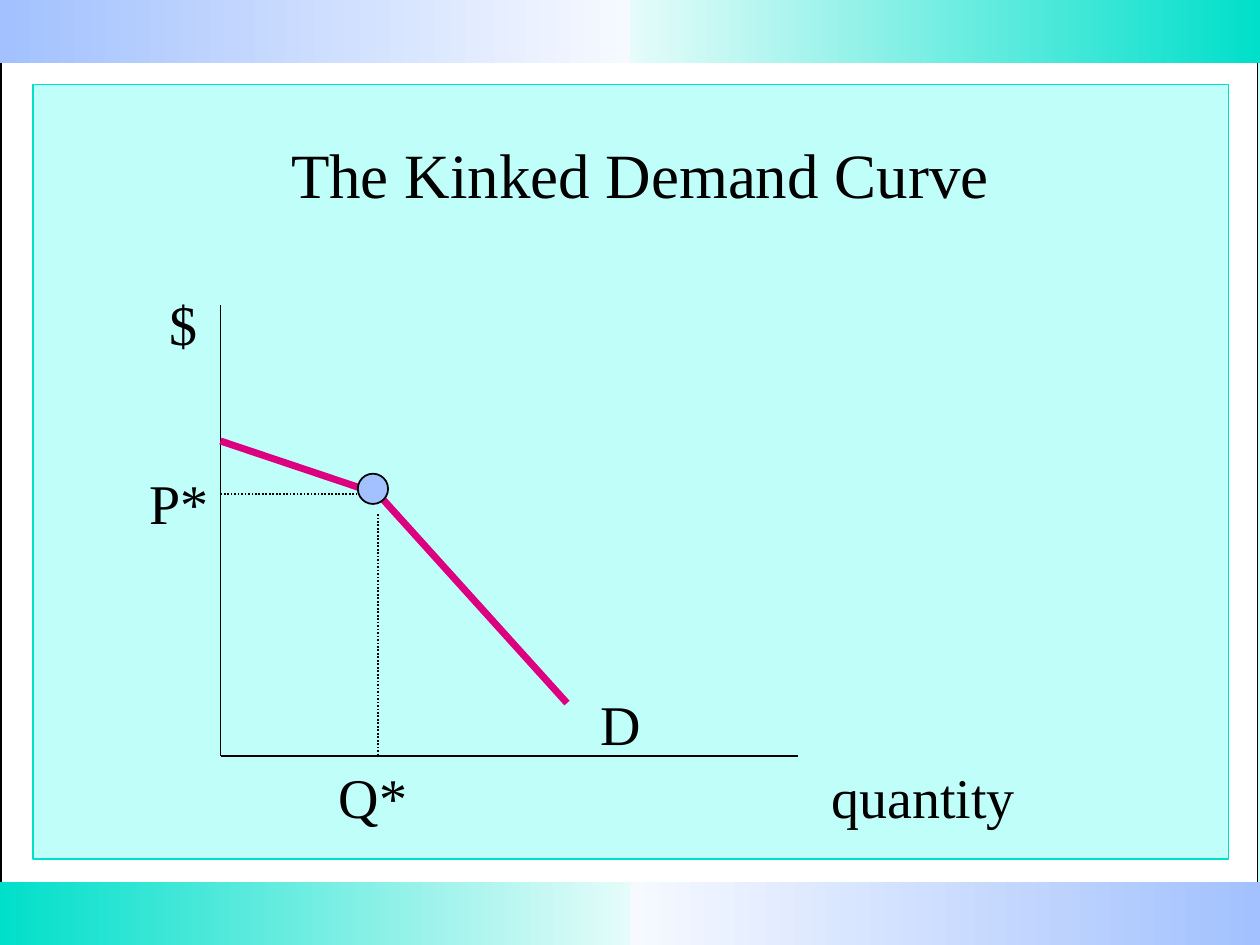
from pptx import Presentation
from pptx.dml.color import RGBColor
from pptx.enum.dml import MSO_LINE
from pptx.enum.shapes import MSO_CONNECTOR, MSO_SHAPE
from pptx.enum.text import MSO_ANCHOR, MSO_AUTO_SIZE, PP_ALIGN
from pptx.oxml.ns import qn
from pptx.util import Inches, Pt

RECT, OVAL = MSO_SHAPE.RECTANGLE, MSO_SHAPE.OVAL
DOTTED = MSO_LINE.ROUND_DOT
FONT = "Times New Roman"
WIDTH, HEIGHT = 10, 7.5
BAND = 0.5
COLORS = {
    "black": "000000", "white": "FFFFFF", "mint": "C0FEF9", "teal": "00DFCA",
    "pale teal": "E5FCFA", "blue": "A2C1FE", "pale blue": "F6F9FF", "magenta": "DC0081",
}

TITLE = "The Kinked Demand Curve"
ORIGIN = (1.75, 6)
KINK = (3, 3.92)
PRICE_TOP, QUANTITY_END = 2.42, 6.33
DEMAND_START, DEMAND_END = (ORIGIN[0], 3.5), (4.5, 5.58)
LINES = [
    ((ORIGIN[0], PRICE_TOP), ORIGIN, "black", 1, None),
    (ORIGIN, (QUANTITY_END, ORIGIN[1]), "black", 1, None),
    (DEMAND_START, KINK, "magenta", 4, None),
    (KINK, DEMAND_END, "magenta", 4, None),
    ((2.92, KINK[1]), (ORIGIN[0], KINK[1]), "black", 1, DOTTED),
    ((KINK[0], 4.08), (KINK[0], ORIGIN[1]), "black", 1, DOTTED),
]
LABELS = [
    ("quantity", 6.5, ORIGIN[1], 1.76),
    ("$", 1.25, 2.25, 0.59),
    ("D", 4.67, 5.42, 0.51),
    ("P*", 1.09, 3.67, 1.01),
    ("Q*", 2.59, ORIGIN[1], 0.76),
]
BANDS = [
    (0, 0, "blue", "pale blue"),
    (WIDTH / 2, 0, "pale teal", "teal"),
    (0, HEIGHT - BAND, "teal", "pale teal"),
    (WIDTH / 2, HEIGHT - BAND, "pale blue", "blue"),
]


def rgb(name):
    return RGBColor.from_string(COLORS[name])


def add_outlined(slide, kind, box, fill, outline):
    shape = slide.shapes.add_shape(kind, *map(Inches, box))
    shape.shadow.inherit = False
    shape.fill.solid()
    shape.fill.fore_color.rgb = rgb(fill)
    shape.line.color.rgb = rgb(outline)
    shape.line.width = Pt(1)


def add_band(slide, left, top, start, end):
    band = slide.shapes.add_shape(
        RECT, Inches(left), Inches(top), Inches(WIDTH / 2), Inches(BAND))
    band.shadow.inherit = False
    band.line.fill.background()
    band.fill.gradient()
    band.fill.gradient_angle = 0
    for stop, color, position in zip(band.fill.gradient_stops, (start, end), (0, 1)):
        stop.color.rgb = rgb(color)
        stop.position = position


def add_line(slide, start, end, color, width, dash):
    line = slide.shapes.add_connector(
        MSO_CONNECTOR.STRAIGHT, *map(Inches, (*start, *end)))
    line.line.color.rgb = rgb(color)
    line.line.width = Pt(width)
    if dash:
        line.line.dash_style = dash
    properties = line._element.spPr
    properties.append(properties.makeelement(qn("a:effectLst"), {}))


def write(frame, text, size):
    frame.text = text
    frame.word_wrap = True
    font = frame.paragraphs[0].runs[0].font
    font.name = FONT
    font.size = Pt(size)
    font.color.rgb = rgb("black")


def add_title(slide):
    title = slide.shapes.title
    title.left, title.top, title.width, title.height = map(Inches, (0.58, 0.75, 9, 1.25))
    write(title.text_frame, TITLE, 36)
    title.text_frame.auto_size = MSO_AUTO_SIZE.NONE
    title.text_frame.vertical_anchor = MSO_ANCHOR.MIDDLE
    title.text_frame.paragraphs[0].alignment = PP_ALIGN.CENTER
    slide.shapes._spTree.append(title._element)


def main():
    deck = Presentation()
    deck.slide_width, deck.slide_height = Inches(WIDTH), Inches(HEIGHT)
    slide = deck.slides.add_slide(deck.slide_layouts[5])
    slide.background.fill.solid()
    slide.background.fill.fore_color.rgb = rgb("mint")

    add_outlined(slide, RECT, (0.01, 0.01, 9.97, 7.47), "white", "black")
    add_outlined(slide, RECT, (0.26, 0.67, 9.49, 6.15), "mint", "teal")
    for band in BANDS:
        add_band(slide, *band)
    add_title(slide)
    for line in LINES:
        add_line(slide, *line)
    add_outlined(slide, OVAL, (2.84, 3.76, 0.24, 0.24), "blue", "black")
    for text, left, top, width in LABELS:
        label = slide.shapes.add_textbox(*map(Inches, (left, top, width, 0.63)))
        write(label.text_frame, text, 32)
    deck.save("out.pptx")


if __name__ == "__main__":
    main()
